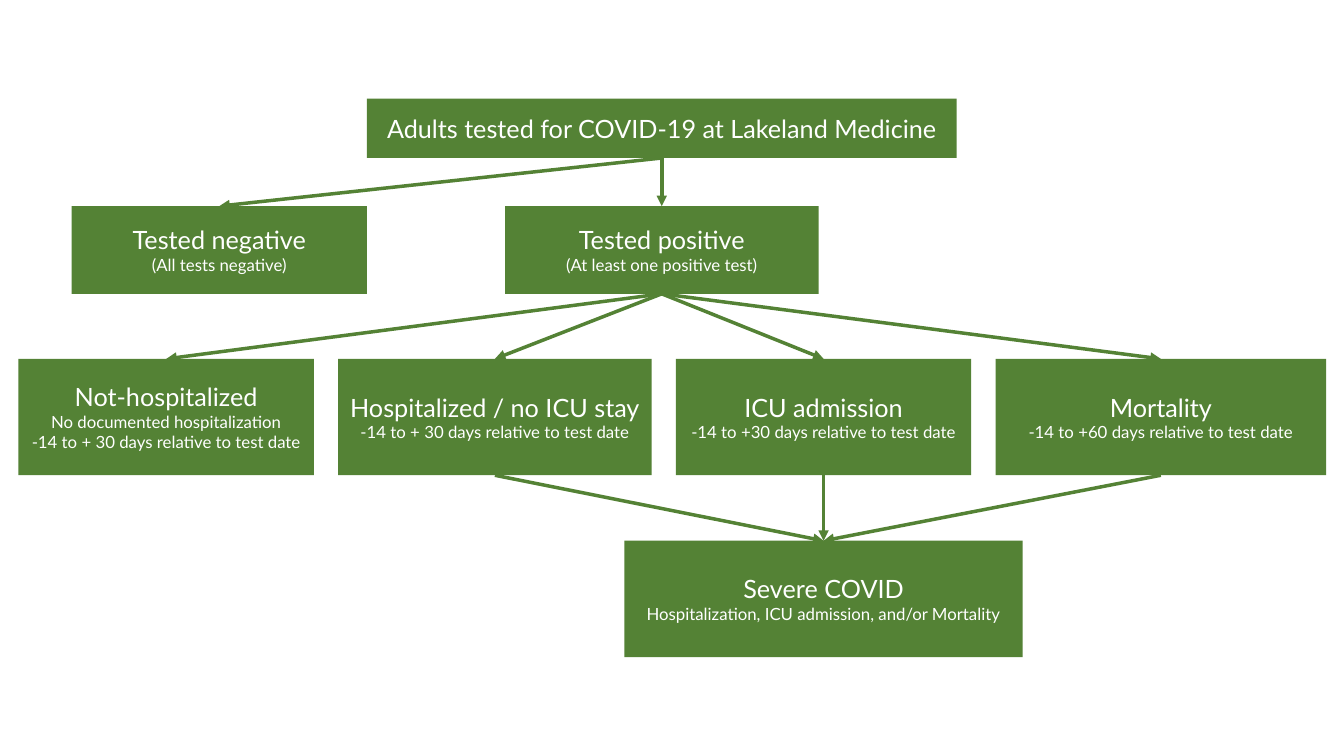
"""Draw the cohort flow chart of adults tested for COVID-19."""
from dataclasses import dataclass
from typing import Any

from lxml import etree
from pptx import Presentation
from pptx import util as u
from pptx.dml.color import RGBColor
from pptx.enum import shapes, text
from pptx.oxml import ns


@dataclass(frozen=True)
class Theme:
    """Hold the colours, font and sizes of the slide."""

    green: RGBColor = RGBColor.from_string("548235")
    white: RGBColor = RGBColor.from_string("FFFFFF")
    font: str = "Lato"
    heading: u.Pt = u.Pt(18)
    detail: u.Pt = u.Pt(12)
    arrow: u.Pt = u.Pt(2.5)


@dataclass(frozen=True)
class Tier:
    """Hold the top and height of a row of boxes, in percent of slide height."""

    top: float
    height: float


@dataclass(frozen=True)
class Box:
    """Hold one box, with centre and width in percent of slide width."""

    key: str
    tier: Tier
    centre: float
    width: float
    lines: tuple[str, ...]


@dataclass(frozen=True)
class Outcome:
    """Hold one outcome box before it is placed in its row."""

    key: str
    width: float
    lines: tuple[str, ...]


THEME = Theme()
SLIDE_WIDTH, SLIDE_HEIGHT = u.Inches(13.33), u.Inches(7.5)
TOP_SITE, BOTTOM_SITE = 0, 2

COHORT_TIER = Tier(13.05, 7.85)
TEST_TIER = Tier(27.27, 11.6)
OUTCOME_TIER = Tier(47.47, 15.4)
SEVERE_TIER = Tier(71.53, 15.4)

NARROW, MEDIUM, WIDE = 21.98, 23.33, 24.6
ROW_START, ROW_GAP = 1.38, 1.8
MAIN_AXIS = 49.24

OUTCOMES = (
    Outcome("home", NARROW, (
        "Not-hospitalized",
        "No documented hospitalization",
        "-14 to + 30 days relative to test date",
    )),
    Outcome("hospital", MEDIUM, (
        "Hospitalized / no ICU stay", "-14 to + 30 days relative to test date",
    )),
    Outcome("icu", NARROW, ("ICU admission", "-14 to +30 days relative to test date")),
    Outcome("mortality", WIDE, ("Mortality", "-14 to +60 days relative to test date")),
)

ARROWS = (
    ("adults", "negative"),
    ("adults", "positive"),
    *(("positive", outcome.key) for outcome in OUTCOMES),
    *((outcome.key, "severe") for outcome in OUTCOMES[1:]),
)


def apply_format(target: Any, values: dict[str, Any]) -> None:
    """Set each named attribute of the target."""
    for name, value in values.items():
        setattr(target, name, value)


def place_outcomes() -> list[Box]:
    """Lay the outcomes side by side with equal gaps."""
    boxes = []
    left = ROW_START
    for outcome in OUTCOMES:
        centre = left + outcome.width / 2
        boxes.append(Box(outcome.key, OUTCOME_TIER, centre, outcome.width, outcome.lines))
        left += outcome.width + ROW_GAP
    return boxes


def flow_boxes() -> list[Box]:
    """Return every box from the cohort down to severe disease."""
    outcomes = place_outcomes()
    icu_axis = next(box.centre for box in outcomes if box.key == "icu")
    return [
        Box("adults", COHORT_TIER, MAIN_AXIS, 43.88,
            ("Adults tested for COVID-19 at Lakeland Medicine",)),
        Box("negative", TEST_TIER, 16.32, NARROW,
            ("Tested negative", "(All tests negative)")),
        Box("positive", TEST_TIER, MAIN_AXIS, MEDIUM,
            ("Tested positive", "(At least one positive test)")),
        *outcomes,
        Box("severe", SEVERE_TIER, icu_axis, 29.63,
            ("Severe COVID", "Hospitalization, ICU admission, and/or Mortality")),
    ]


def draw_box(slide: Any, box: Box) -> Any:
    """Draw a green box with a heading and its detail lines."""
    shape = slide.shapes.add_shape(
        shapes.MSO_SHAPE.RECTANGLE,
        round(SLIDE_WIDTH * (box.centre - box.width / 2) / 100),
        round(SLIDE_HEIGHT * box.tier.top / 100),
        round(SLIDE_WIDTH * box.width / 100),
        round(SLIDE_HEIGHT * box.tier.height / 100),
    )
    shape.shadow.inherit = False
    shape.fill.solid()
    shape.fill.fore_color.rgb = THEME.green
    shape.line.fill.background()
    frame = shape.text_frame
    apply_format(frame, {"word_wrap": True, "vertical_anchor": text.MSO_ANCHOR.MIDDLE})
    for index, line in enumerate(box.lines):
        paragraph = frame.add_paragraph() if index else frame.paragraphs[0]
        paragraph.alignment = text.PP_ALIGN.CENTER
        run = paragraph.add_run()
        run.text = line
        size = THEME.detail if index else THEME.heading
        apply_format(run.font, {"name": THEME.font, "size": size})
        run.font.color.rgb = THEME.white
    return shape


def draw_arrow(slide: Any, source: Any, target: Any) -> None:
    """Join the bottom of one box to the top of another with an arrow."""
    connector = slide.shapes.add_connector(
        shapes.MSO_CONNECTOR.STRAIGHT,
        source.left + source.width // 2,
        source.top + source.height,
        target.left + target.width // 2,
        target.top,
    )
    connector.begin_connect(source, BOTTOM_SITE)
    connector.end_connect(target, TOP_SITE)
    connector.line.width = THEME.arrow
    connector.line.color.rgb = THEME.green
    properties = connector.element.spPr
    outline = properties.find(ns.qn("a:ln"))
    etree.SubElement(outline, ns.qn("a:tailEnd"), type="triangle")
    etree.SubElement(properties, ns.qn("a:effectLst"))


def main() -> None:
    """Build and save the slide."""
    presentation = Presentation()
    apply_format(presentation, {"slide_width": SLIDE_WIDTH, "slide_height": SLIDE_HEIGHT})
    slide = presentation.slides.add_slide(presentation.slide_layouts[6])
    drawn = {box.key: draw_box(slide, box) for box in flow_boxes()}
    for source, target in ARROWS:
        draw_arrow(slide, drawn[source], drawn[target])
    presentation.save("out.pptx")


if __name__ == "__main__":
    main()
